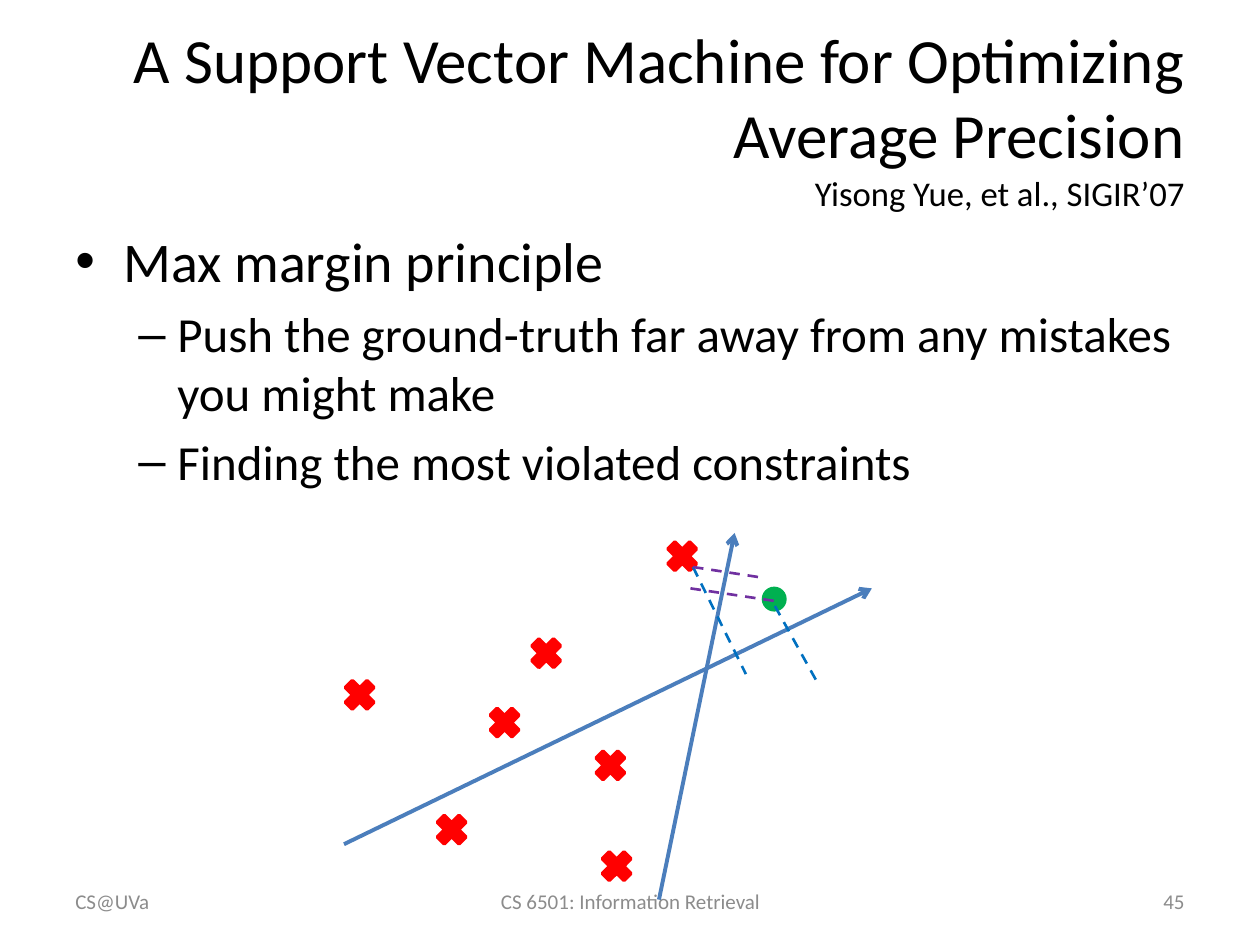
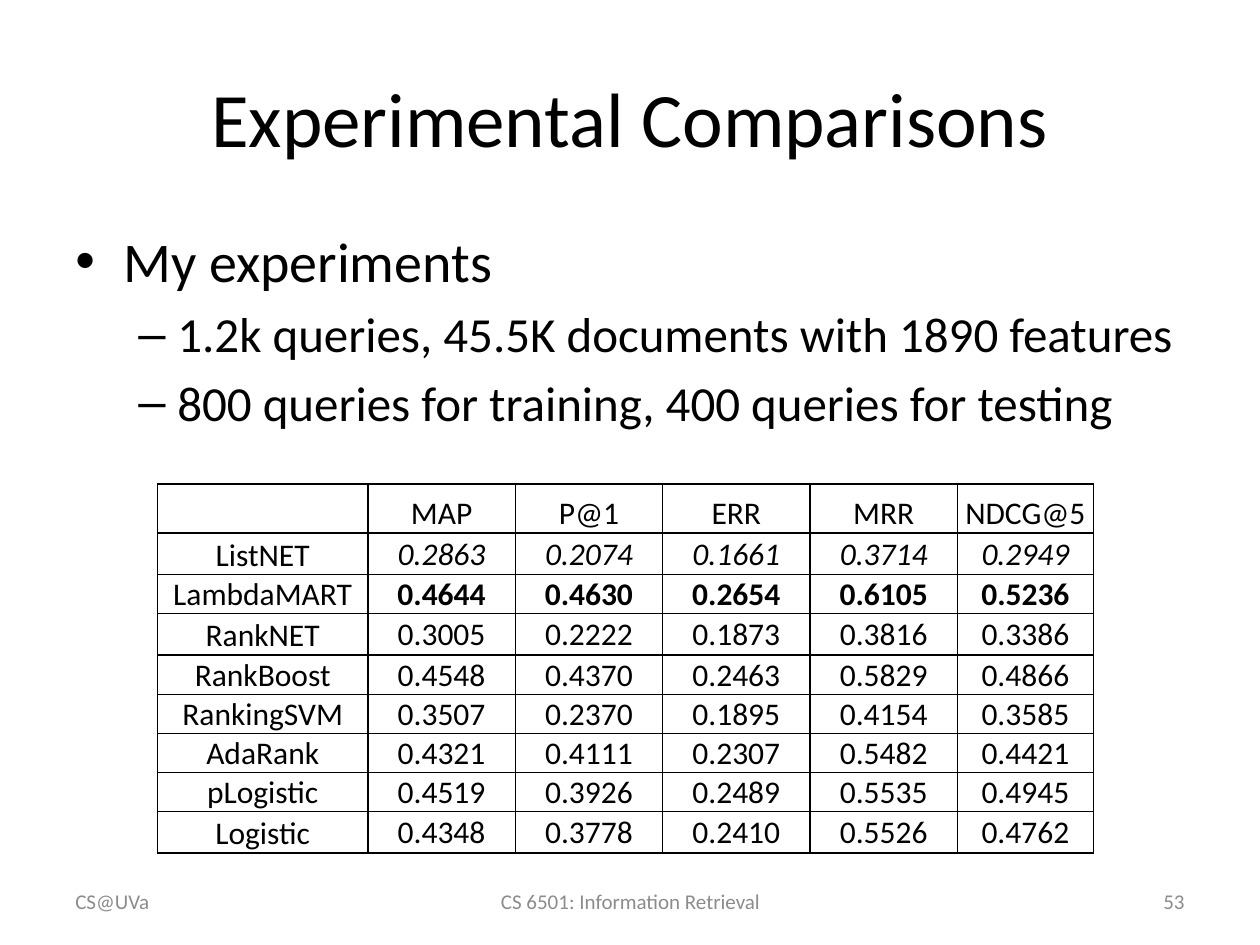
from dataclasses import dataclass
from lxml.etree import SubElement
from pptx import Presentation
from pptx.dml.color import RGBColor
from pptx.enum.dml import MSO_LINE
from pptx.enum.shapes import MSO_CONNECTOR, MSO_SHAPE
from pptx.enum.text import MSO_ANCHOR, PP_ALIGN
from pptx.oxml import parse_xml
from pptx.oxml.ns import nsdecls, qn
from pptx.util import Inches, Pt


@dataclass(frozen=True)
class Theme:
    font: str = "Calibri"
    ink: RGBColor = RGBColor(0, 0, 0)
    footer_gray: RGBColor = RGBColor.from_string("8C8C8C")
    axis: RGBColor = RGBColor.from_string("4B7EBC")
    wrong: RGBColor = RGBColor.from_string("FF0000")
    right: RGBColor = RGBColor.from_string("00B050")
    blue_dash: RGBColor = RGBColor.from_string("0070C0")
    purple_dash: RGBColor = RGBColor.from_string("7030A0")
    title_size: float = 44
    long_title_size: float = 36
    citation_size: float = 19.8
    level_sizes: tuple = (32, 28)
    table_size: float = 18
    footer_size: float = 12


theme = Theme()


def style(paragraph, size, color=theme.ink, align=PP_ALIGN.LEFT):
    paragraph.alignment = align
    paragraph.font.name = theme.font
    paragraph.font.size = Pt(size)
    paragraph.font.color.rgb = color


def add_box(page, left, top, width, height, anchor=MSO_ANCHOR.MIDDLE):
    box = page.shapes.add_textbox(Inches(left), Inches(top), Inches(width), Inches(height))
    box.text_frame.word_wrap = True
    box.text_frame.vertical_anchor = anchor
    return box.text_frame


deck = Presentation()
deck.slide_width, deck.slide_height = Inches(10), Inches(7.5)

contents = [
    ("A Support Vector Machine for Optimizing Average Precision", "Yisong Yue, et al., SIGIR’07", "45",
     [(0, "Max margin principle"),
      (1, "Push the ground-truth far away from any mistakes you might make"),
      (1, "Finding the most violated constraints")]),
    ("Experimental Comparisons", None, "53",
     [(0, "My experiments"),
      (1, "1.2k queries, 45.5K documents with 1890 features"),
      (1, "800 queries for training, 400 queries for testing")]),
]
bullets = [("•", 0.38, 0.38), ("–", 0.81, 0.31)]  # mark, margin, hanging indent

# Titles, bullet lists and footers of both slides
pages = []
for title, citation, number, points in contents:
    page = deck.slides.add_slide(deck.slide_layouts[6])
    pages.append(page)

    paragraph = add_box(page, 0.5, 0.3, 9, 1.25).paragraphs[0]
    paragraph.add_run().text = title
    if citation:
        style(paragraph, theme.long_title_size, align=PP_ALIGN.RIGHT)
        paragraph.add_line_break()
        span = paragraph.add_run()
        span.text = citation
        span.font.size = Pt(theme.citation_size)
    else:
        style(paragraph, theme.title_size, align=PP_ALIGN.CENTER)

    body = add_box(page, 0.5, 1.75, 9, 4.95, MSO_ANCHOR.TOP)
    for index, (level, text) in enumerate(points):
        paragraph = body.add_paragraph() if index else body.paragraphs[0]
        paragraph.text = text
        paragraph.level = level
        mark, margin, hanging = bullets[level]
        properties = paragraph._p.get_or_add_pPr()
        properties.set("marL", str(Inches(margin)))
        properties.set("indent", str(-Inches(hanging)))
        SubElement(properties, qn("a:buFont"), typeface="Arial")
        SubElement(properties, qn("a:buChar"), char=mark)
        size = theme.level_sizes[level]
        style(paragraph, size)
        if index:
            paragraph.space_before = Pt(0.2 * size)

    for left, width, text, align in [
        (3.42, 3.17, "CS 6501: Information Retrieval", PP_ALIGN.CENTER),
        (7.17, 2.33, number, PP_ALIGN.RIGHT),
        (0.5, 2.33, "CS@UVa", PP_ALIGN.LEFT),
    ]:
        paragraph = add_box(page, left, 6.95, width, 0.4).paragraphs[0]
        paragraph.text = text
        style(paragraph, theme.footer_size, theme.footer_gray, align)

margin_page, results_page = pages

# Margin diagram: mistakes as crosses, ground truth as a dot
cross, dot = (MSO_SHAPE.MATH_MULTIPLY, 0.33, theme.wrong), (MSO_SHAPE.OVAL, 0.17, theme.right)
for (kind, size, color), left, top in [
    (cross, 4.17, 5.02), (cross, 4.68, 5.91), (cross, 3.84, 5.57), (cross, 3.42, 6.42),
    (cross, 2.69, 5.35), (cross, 4.73, 6.71), (dot, 6.06, 4.67), (cross, 5.25, 4.25),
]:
    sample = margin_page.shapes.add_shape(kind, Inches(left), Inches(top), Inches(size), Inches(size))
    sample.shadow.inherit = False
    sample.fill.solid()
    sample.fill.fore_color.rgb = color
    sample.line.color.rgb = color
    sample.line.width = Pt(2)

# Projection directions (arrows) and distances (dashes)
for start_x, start_y, end_x, end_y, color in [
    (5.23, 7.14, 5.83, 4.23, theme.axis),
    (2.73, 6.7, 6.92, 4.67, theme.axis),
    (5.5, 4.5, 5.92, 5.35, theme.blue_dash),
    (6.15, 4.81, 6.5, 5.44, theme.blue_dash),
    (5.5, 4.5, 6.02, 4.58, theme.purple_dash),
    (5.48, 4.67, 6.15, 4.77, theme.purple_dash),
]:
    connector = margin_page.shapes.add_connector(
        MSO_CONNECTOR.STRAIGHT, Inches(start_x), Inches(start_y), Inches(end_x), Inches(end_y))
    connector.line.color.rgb = color
    if color == theme.axis:
        connector.line.width = Pt(2.25)
        SubElement(connector.line._get_or_add_ln(), qn("a:tailEnd"), type="arrow")
    else:
        connector.line.width = Pt(1.5)
        connector.line.dash_style = MSO_LINE.DASH
    SubElement(connector._element.spPr, qn("a:effectLst"))

# Results table
results = [
    ("", "MAP", "P@1", "ERR", "MRR", "NDCG@5"),
    ("ListNET", "0.2863", "0.2074", "0.1661", "0.3714", "0.2949"),
    ("LambdaMART", "0.4644", "0.4630", "0.2654", "0.6105", "0.5236"),
    ("RankNET", "0.3005", "0.2222", "0.1873", "0.3816", "0.3386"),
    ("RankBoost", "0.4548", "0.4370", "0.2463", "0.5829", "0.4866"),
    ("RankingSVM", "0.3507", "0.2370", "0.1895", "0.4154", "0.3585"),
    ("AdaRank", "0.4321", "0.4111", "0.2307", "0.5482", "0.4421"),
    ("pLogistic", "0.4519", "0.3926", "0.2489", "0.5535", "0.4945"),
    ("Logistic", "0.4348", "0.3778", "0.2410", "0.5526", "0.4762"),
]
column_widths = [1.67, 1.17, 1.17, 1.17, 1.17, 1.08]
row_heights = [0.39, 0.33, 0.29, 0.33, 0.29, 0.29, 0.29, 0.29, 0.33]
table = results_page.shapes.add_table(
    len(results), len(column_widths), Inches(1.25), Inches(3.84), Inches(7.42), Inches(2.94)).table
table.first_row = table.horz_banding = False
for column, width in zip(table.columns, column_widths):
    column.width = Inches(width)
for row, height in zip(table.rows, row_heights):
    row.height = Inches(height)

for row_index, values in enumerate(results):
    for column_index, value in enumerate(values):
        cell = table.cell(row_index, column_index)
        is_score = row_index > 0 and column_index > 0
        cell.text = value
        cell.vertical_anchor = MSO_ANCHOR.MIDDLE if is_score else MSO_ANCHOR.BOTTOM
        cell.margin_left = cell.margin_right = cell.margin_top = Inches(0.01)
        cell.margin_bottom = 0
        paragraph = cell.text_frame.paragraphs[0]
        style(paragraph, theme.table_size, align=PP_ALIGN.CENTER)
        if is_score:
            paragraph.font.italic = values[0] == "ListNET"
            paragraph.font.bold = values[0] == "LambdaMART"
        cell.fill.background()
        for position, side in enumerate(("lnL", "lnR", "lnT", "lnB")):
            cell._tc.tcPr.insert(position, parse_xml(
                f'<a:{side} {nsdecls("a")} w="{Pt(1)}"><a:solidFill>'
                f'<a:srgbClr val="{theme.ink}"/></a:solidFill></a:{side}>'))

deck.save("out.pptx")
